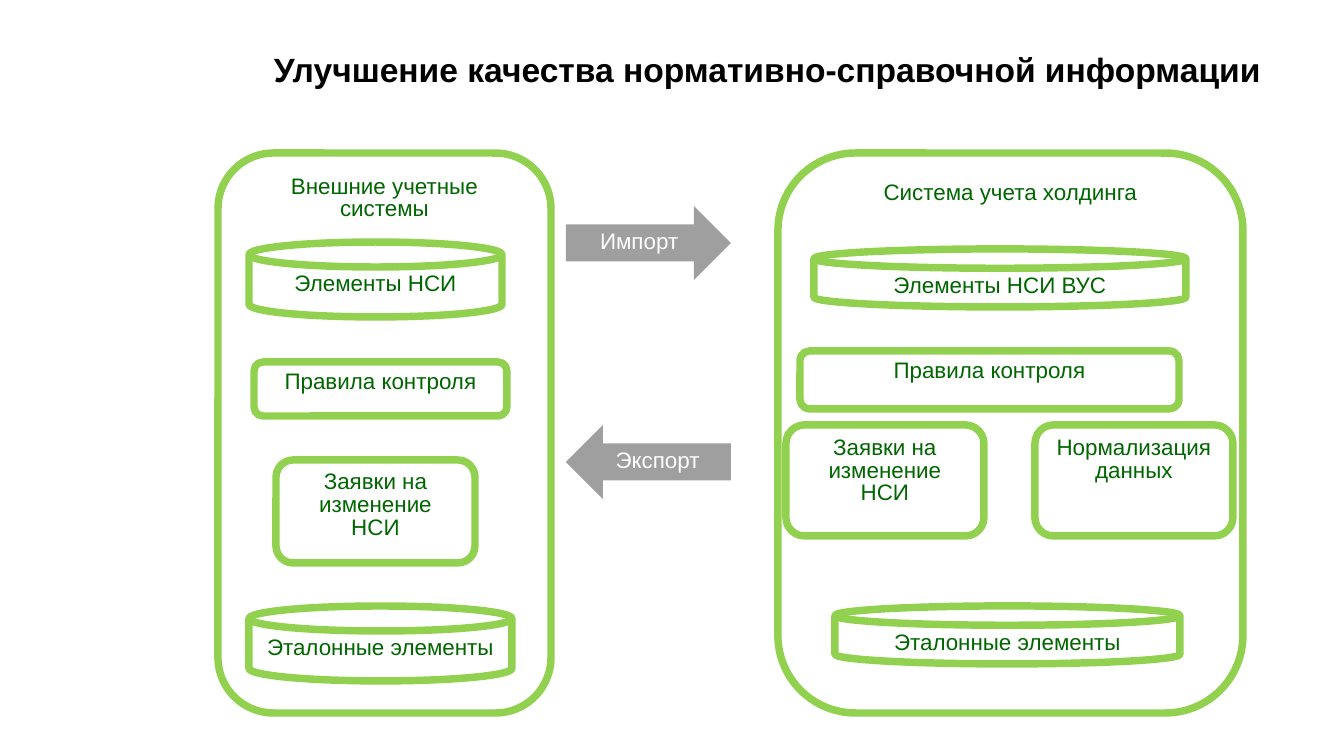
from pptx import Presentation
from pptx.dml.color import RGBColor
from pptx.enum.shapes import MSO_SHAPE as SHAPE
from pptx.enum.text import MSO_ANCHOR as ANCHOR, PP_ALIGN as ALIGN
from pptx.oxml.ns import qn
from pptx.util import Pt
from lxml.etree import SubElement

PX = 914400 / 134.4
GREEN, DARK_GREEN, GRAY, WHITE, BLACK = "92D050", "006600", "808080", "FFFFFF", "000000"
BOX, DISK = SHAPE.ROUNDED_RECTANGLE, SHAPE.FLOWCHART_MAGNETIC_DISK

TITLE = ("Улучшение качества нормативно-справочной информации", 238, 30, 1059, 79)
BLOCKS = [
    (BOX, "Внешние учетные системы", 218, 153, 333, 560),
    (BOX, "Система учета холдинга", 778, 153, 465, 560),
    (BOX, "Нормализация данных", 1035, 425, 198, 111),
    (BOX, "Правила контроля", 800, 351, 379, 58),
    (BOX, "Заявки на изменение НСИ", 786, 425, 198, 111),
    (DISK, "Элементы НСИ ВУС", 814, 249, 372, 58),
    (DISK, "Эталонные элементы", 835, 606, 345, 58),
    (DISK, "Элементы НСИ", 249, 242, 253, 75),
    (BOX, "Правила контроля", 254, 362, 253, 54),
    (BOX, "Заявки на изменение НСИ", 276, 460, 199, 103),
    (DISK, "Эталонные элементы", 249, 606, 263, 75),
]
ARROWS = [
    (SHAPE.LEFT_ARROW, "Экспорт", 566, 425, 165, 74),
    (SHAPE.RIGHT_ARROW, "Импорт", 566, 206, 165, 74),
]


def px(*values):
    return [round(v * PX) for v in values]


def rgb(color):
    return RGBColor.from_string(color)


def write(s, text, size, color, anchor, bold=False):
    tf = s.text_frame
    tf.word_wrap = True
    tf.vertical_anchor = anchor
    p = tf.paragraphs[0]
    p.text = text
    p.alignment = ALIGN.CENTER
    p.font.name, p.font.size, p.font.bold = "Arial", Pt(size), bold
    p.font.color.rgb = rgb(color)
    return p


def add_shape(slide, kind, text, color, *place):
    s = slide.shapes.add_shape(kind, *px(*place))
    s.shadow.inherit = False
    write(s, text, 12, color, ANCHOR.TOP).line_spacing = 0.85
    return s


prs = Presentation()
prs.slide_width, prs.slide_height = px(1344, 756)
slide = prs.slides.add_slide(prs.slide_layouts[6])

text, *place = TITLE
write(slide.shapes.add_textbox(*px(*place)), text, 18, BLACK, ANCHOR.MIDDLE, True)

for kind, text, *place in BLOCKS:
    s = add_shape(slide, kind, text, DARK_GREEN, *place)
    s.fill.background()
    s.line.color.rgb = rgb(GREEN)
    s.line.width = Pt(4)

for kind, text, *place in ARROWS:
    s = add_shape(slide, kind, text, WHITE, *place)
    s.fill.solid()
    s.fill.fore_color.rgb = rgb(GRAY)
    color = s.fill._xPr.find(qn("a:solidFill"))[0]
    SubElement(color, qn("a:alpha")).set("val", "75000")
    s.line.fill.background()

prs.save("out.pptx")
